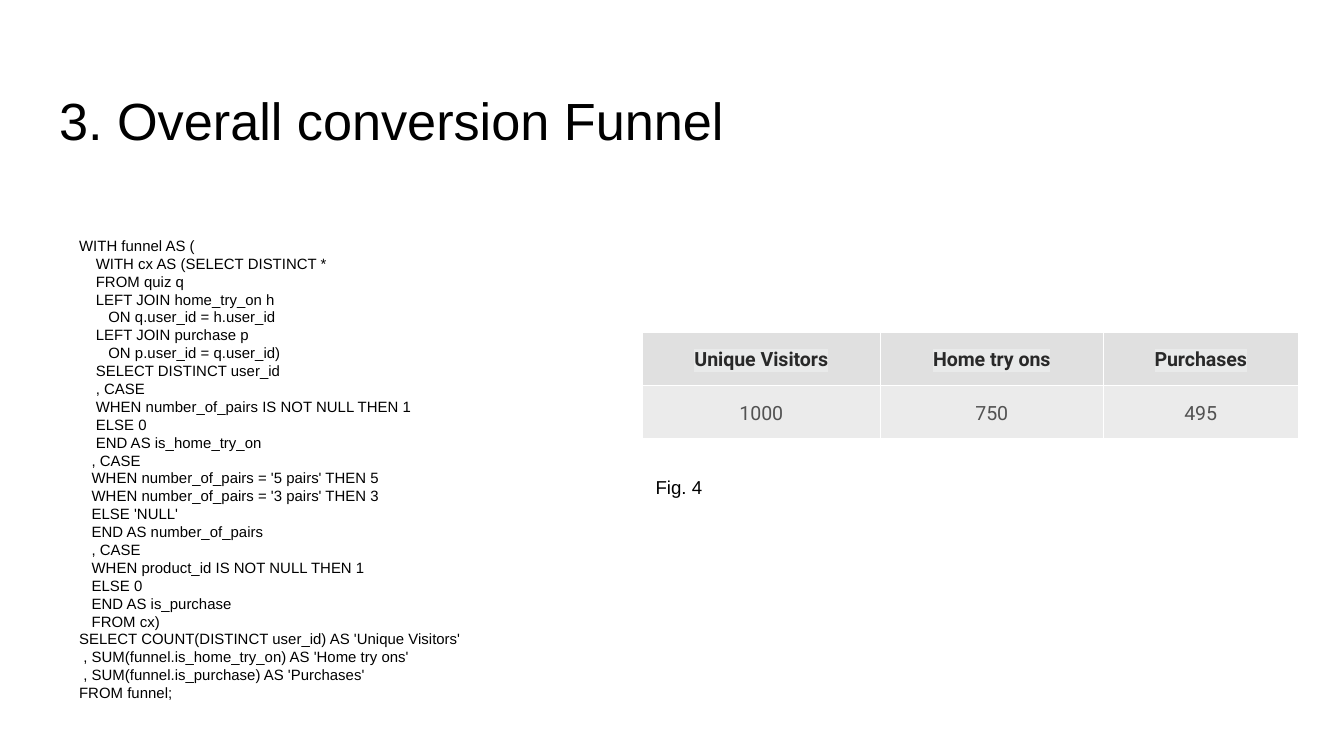
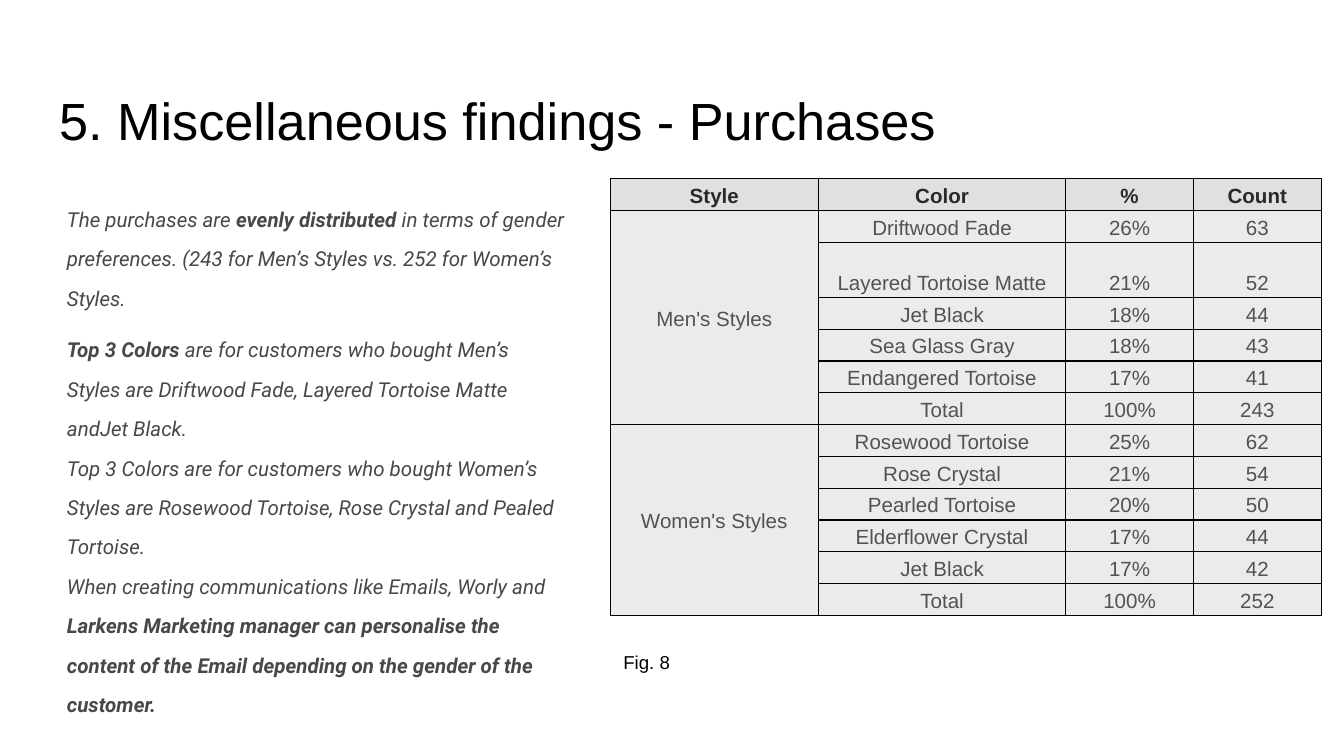
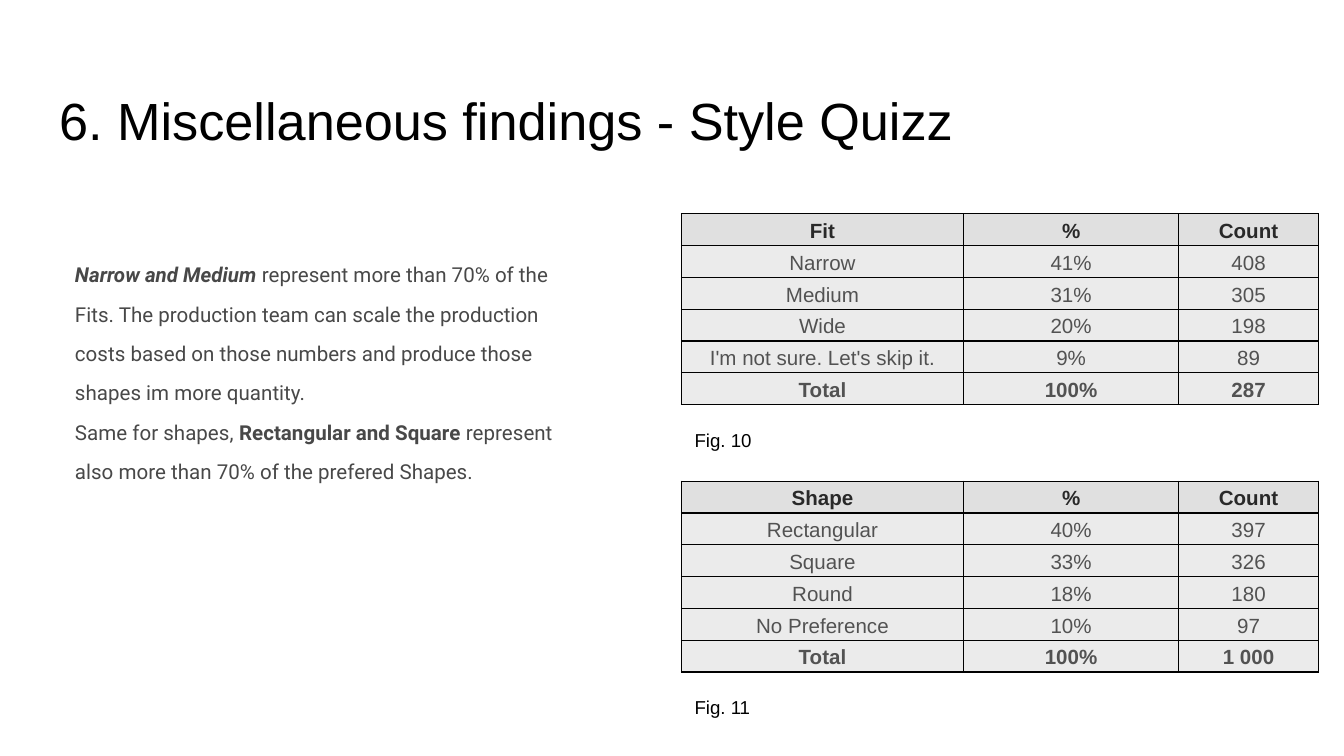
from dataclasses import dataclass

from pptx import Presentation
from pptx.dml.color import RGBColor
from pptx.enum import text
from pptx.oxml import parse_xml
from pptx.oxml.ns import nsdecls
from pptx.util import Inches, Pt


@dataclass(frozen=True)
class Theme:
    sans: str = "Arial"
    accent: str = "Roboto"
    black: str = "000000"
    white: str = "FFFFFF"
    body: str = "484848"
    header_text: str = "292929"
    cell_text: str = "525252"
    header_fill: str = "E0E0E0"
    cell_fill: str = "EBEBEB"
    highlight: str = "E9EAEA"
    title_size: float = 28
    body_size: float = 11
    summary_size: float = 10.5
    caption_size: float = 10
    code_size: float = 8
    border: float = 0.75


THEME = Theme()
CENTER = text.PP_ALIGN.CENTER
MIDDLE, BOTTOM, TOP = (text.MSO_ANCHOR.MIDDLE, text.MSO_ANCHOR.BOTTOM,
                       text.MSO_ANCHOR.TOP)


@dataclass(frozen=True)
class TableLook:
    font: str
    size: float
    border: str
    inset_x: int
    inset_y: int
    anchor: text.MSO_ANCHOR
    space_before: float = 0
    highlight: bool = False


SUMMARY = TableLook(THEME.accent, THEME.summary_size, THEME.white,
                    Inches(0.1), Inches(0.1), TOP, space_before=4,
                    highlight=True)
GRID = TableLook(THEME.sans, THEME.body_size, THEME.black,
                 Pt(2.25), Pt(1.5), BOTTOM)

# Content
FUNNEL_QUERY = """\
WITH funnel AS (
    WITH cx AS (SELECT DISTINCT *
    FROM quiz q
    LEFT JOIN home_try_on h
       ON q.user_id = h.user_id
    LEFT JOIN purchase p
       ON p.user_id = q.user_id)
    SELECT DISTINCT user_id
    , CASE
    WHEN number_of_pairs IS NOT NULL THEN 1
    ELSE 0
    END AS is_home_try_on
   , CASE
   WHEN number_of_pairs = '5 pairs' THEN 5
   WHEN number_of_pairs = '3 pairs' THEN 3
   ELSE 'NULL'
   END AS number_of_pairs
   , CASE
   WHEN product_id IS NOT NULL THEN 1
   ELSE 0
   END AS is_purchase
   FROM cx)
SELECT COUNT(DISTINCT user_id) AS 'Unique Visitors'
 , SUM(funnel.is_home_try_on) AS 'Home try ons'
 , SUM(funnel.is_purchase) AS 'Purchases'
FROM funnel;"""

FUNNEL = [("Unique Visitors", "Home try ons", "Purchases"),
          ("1000", "750", "495")]

# Each paragraph is a list of runs: (wording, marks), b for bold, i for italic
GENDER_FINDING = [
    [("The purchases are ", "i"), ("evenly distributed", "bi"),
     (" in terms of gender preferences. (243 for Men’s Styles vs. 252 for "
      "Women’s Styles.", "i")],
]
COLOR_FINDINGS = [
    [("Top 3 Colors", "bi"),
     (" are for customers who bought Men’s Styles are Driftwood Fade, "
      "Layered Tortoise Matte andJet Black.", "i")],
    [("Top 3 Colors are for customers who bought Women’s Styles are "
      "Rosewood Tortoise, Rose Crystal and Pealed Tortoise.", "i")],
    [("When creating communications like Emails, Worly and ", "i"),
     ("Larkens Marketing manager can personalise the content of the Email "
      "depending on the gender of the customer.", "bi")],
]
QUIZ_FINDINGS = [
    [("Narrow and Medium ", "bi"),
     ("represent more than 70% of the Fits. The production team can scale "
      "the production costs based on those numbers and produce those shapes "
      "im more quantity.", "")],
    [("Same for shapes, ", ""), ("Rectangular and Square", "b"),
     (" represent also more than 70% of the prefered Shapes.", "")],
]

PURCHASES = [
    ("Style", "Color", "%", "Count"),
    ("Men's Styles", "Driftwood Fade", "26%", "63"),
    ("", "Layered Tortoise Matte", "21%", "52"),
    ("", "Jet Black", "18%", "44"),
    ("", "Sea Glass Gray", "18%", "43"),
    ("", "Endangered Tortoise", "17%", "41"),
    ("", "Total", "100%", "243"),
    ("Women's Styles", "Rosewood Tortoise", "25%", "62"),
    ("", "Rose Crystal", "21%", "54"),
    ("", "Pearled Tortoise", "20%", "50"),
    ("", "Elderflower Crystal", "17%", "44"),
    ("", "Jet Black", "17%", "42"),
    ("", "Total", "100%", "252"),
]
FITS = [
    ("Fit", "%", "Count"),
    ("Narrow", "41%", "408"),
    ("Medium", "31%", "305"),
    ("Wide", "20%", "198"),
    ("I'm not sure. Let's skip it.", "9%", "89"),
    ("Total", "100%", "287"),
]
SHAPES = [
    ("Shape", "%", "Count"),
    ("Rectangular", "40%", "397"),
    ("Square", "33%", "326"),
    ("Round", "18%", "180"),
    ("No Preference", "10%", "97"),
    ("Total", "100%", "1 000"),
]


# Text helpers
def set_all(target, values):
    for name, value in values.items():
        setattr(target, name, value)


def add_run(paragraph, wording, font, size, color, bold=False, italic=False):
    run = paragraph.add_run()
    run.text = wording
    set_all(run.font, {"name": font, "size": Pt(size), "bold": bold,
                       "italic": italic})
    run.font.color.rgb = RGBColor.from_string(color)
    return run


def prepare_frame(frame):
    inset = Inches(0.1)
    set_all(frame, {"margin_left": inset, "margin_right": inset,
                    "margin_top": inset, "margin_bottom": inset,
                    "word_wrap": True, "vertical_anchor": TOP,
                    "auto_size": text.MSO_AUTO_SIZE.NONE})
    return frame


def add_paragraphs(slide, box, count):
    """Adds a text box with the given number of paragraphs to fill."""
    area = slide.shapes.add_textbox(*map(Inches, box))
    frame = prepare_frame(area.text_frame)
    for _ in range(count - 1):
        frame.add_paragraph()
    return frame.paragraphs


# Regions
def add_titled_slide(prs, title):
    slide = prs.slides.add_slide(prs.slide_layouts[5])
    heading = slide.shapes.title
    left, top, width, height = map(Inches, (0.34, 0.49, 9.32, 0.63))
    set_all(heading, {"left": left, "top": top, "width": width,
                      "height": height})
    line = prepare_frame(heading.text_frame).paragraphs[0]
    set_all(line, {"alignment": text.PP_ALIGN.LEFT, "line_spacing": 1.15})
    add_run(line, title, THEME.sans, THEME.title_size, THEME.black)
    return slide


def add_findings(slide, box, findings):
    for paragraph, runs in zip(add_paragraphs(slide, box, len(findings)),
                               findings):
        paragraph.line_spacing = 1.6
        for wording, marks in runs:
            add_run(paragraph, wording, THEME.accent, THEME.body_size,
                    THEME.body, "b" in marks, "i" in marks)


def add_query(slide, box, query):
    lines = query.splitlines()
    step = Pt(THEME.code_size * 0.28)  # width of one space
    for paragraph, line in zip(add_paragraphs(slide, box, len(lines)), lines):
        code = line.lstrip()
        properties = paragraph._p.get_or_add_pPr()
        properties.set("marL", str(step * (len(line) - len(code))))
        properties.set("indent", "0")
        add_run(paragraph, code, THEME.sans, THEME.code_size, THEME.black)


def add_caption(slide, left, top, number):
    caption = add_paragraphs(slide, (left, top, 0.84, 0.3), 1)[0]
    add_run(caption, f"Fig. {number}", THEME.sans, THEME.caption_size,
            THEME.black)


# Tables
def set_borders(cell, color):
    properties = cell._tc.get_or_add_tcPr()
    for place, side in enumerate(("lnL", "lnR", "lnT", "lnB")):
        properties.insert(place, parse_xml(
            f'<a:{side} {nsdecls("a")} w="{Pt(THEME.border)}"><a:solidFill>'
            f'<a:srgbClr val="{color}"/></a:solidFill></a:{side}>'))


def highlight_run(run):
    fill = run._r.rPr.find("{*}solidFill")
    fill.addnext(parse_xml(f'<a:highlight {nsdecls("a")}>'
                           f'<a:srgbClr val="{THEME.highlight}"/>'
                           '</a:highlight>'))


def fill_cell(cell, wording, look, header, bold):
    cell.fill.solid()
    cell.fill.fore_color.rgb = RGBColor.from_string(
        THEME.header_fill if header else THEME.cell_fill)
    set_borders(cell, look.border)
    set_all(cell, {"margin_left": look.inset_x, "margin_right": look.inset_x,
                   "margin_top": look.inset_y, "margin_bottom": look.inset_y,
                   "vertical_anchor": look.anchor})
    paragraph = cell.text_frame.paragraphs[0]
    set_all(paragraph, {"alignment": CENTER, "line_spacing": 1.15,
                        "space_before": Pt(look.space_before)})
    if wording:
        run = add_run(paragraph, wording, look.font, look.size,
                      THEME.header_text if header else THEME.cell_text, bold)
        if header and look.highlight:
            highlight_run(run)


def add_data_table(slide, left, top, widths, rows, look, tall_rows=None,
                   bold_total=False):
    heights = [(tall_rows or {}).get(r, 0.23) for r in range(len(rows))]
    table = slide.shapes.add_table(
        len(rows), len(widths), Inches(left), Inches(top),
        Inches(sum(widths)), Inches(sum(heights))).table
    set_all(table, {"first_row": False, "horz_banding": False})
    for column, width in zip(table.columns, widths):
        column.width = Inches(width)
    for row, height in zip(table.rows, heights):
        row.height = Inches(height)
    for r, values in enumerate(rows):
        bold = r == 0 or (bold_total and r == len(rows) - 1)
        for c, wording in enumerate(values):
            fill_cell(table.cell(r, c), wording, look, r == 0, bold)
    return table


def merge_groups(table, starts, size):
    for start in starts:
        group = table.cell(start, 0)
        group.merge(table.cell(start + size - 1, 0))
        group.vertical_anchor = MIDDLE


# Slides
def build_funnel(prs):
    slide = add_titled_slide(prs, "3. Overall conversion Funnel")
    left = 4.78
    add_data_table(slide, left, 2.47, (1.77, 1.66, 1.45), FUNNEL, SUMMARY)
    add_query(slide, (0.49, 1.66, 3.28, 3.85), FUNNEL_QUERY)
    add_caption(slide, left, 3.44, 4)


def build_purchases(prs):
    slide = add_titled_slide(prs, "5. Miscellaneous findings - Purchases")
    left, top = 4.54, 1.33
    add_findings(slide, (0.4, top, 4.03, 0.59), GENDER_FINDING)
    add_findings(slide, (0.4, 2.3, 3.84, 2.13), COLOR_FINDINGS)
    purchases = add_data_table(slide, left, top, (1.55, 1.84, 0.95, 0.95),
                               PURCHASES, GRID, tall_rows={2: 0.41})
    merge_groups(purchases, starts=(1, 7), size=6)
    add_caption(slide, left, 4.74, 8)


def build_style_quiz(prs):
    slide = add_titled_slide(prs, "6. Miscellaneous findings - Style Quizz")
    add_findings(slide, (0.46, 1.74, 3.84, 3.05), QUIZ_FINDINGS)
    left = 5.07
    for top, rows, number in ((1.59, FITS, 10), (3.58, SHAPES, 11)):
        add_data_table(slide, left, top, (2.1, 1.6, 1.04), rows, GRID,
                       bold_total=True)
        add_caption(slide, left, top + 1.5, number)


def main():
    prs = Presentation()
    width = Inches(10)
    set_all(prs, {"slide_width": width, "slide_height": width * 9 // 16})
    for build in (build_funnel, build_purchases, build_style_quiz):
        build(prs)
    prs.save("out.pptx")


if __name__ == "__main__":
    main()
